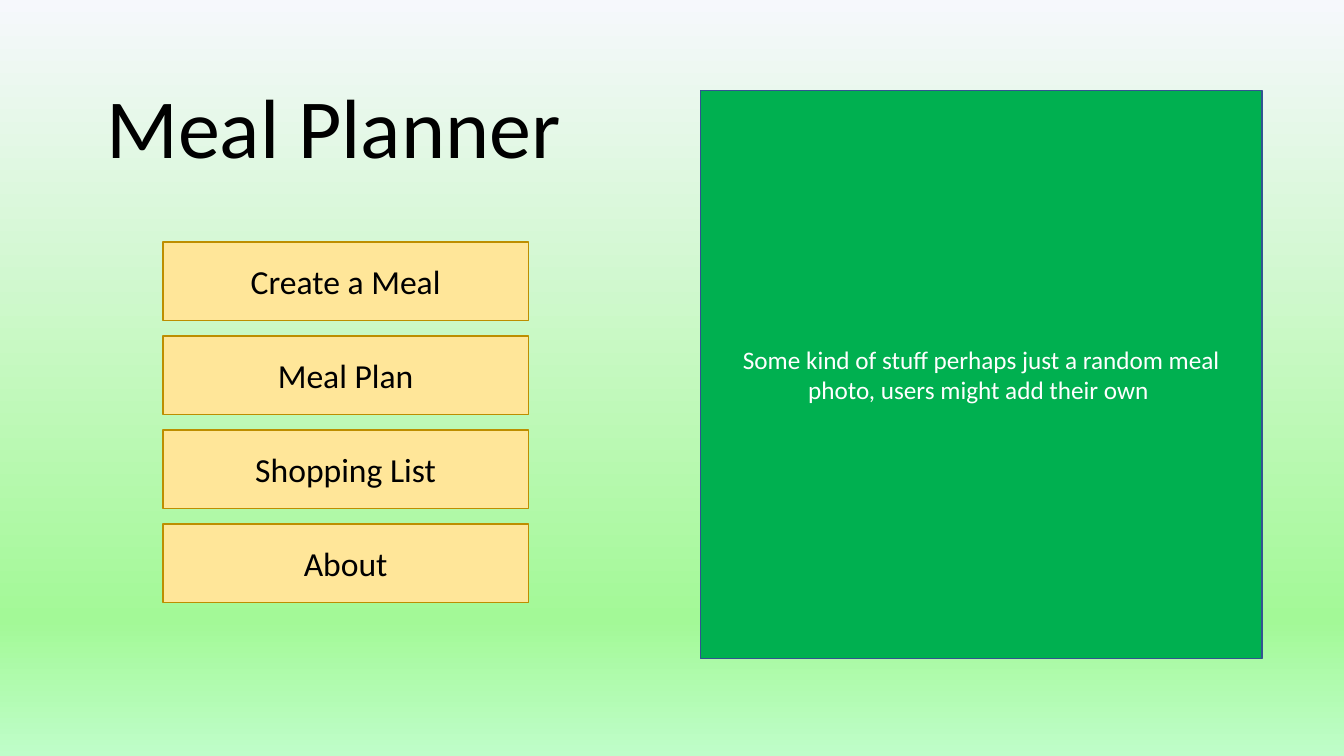
from copy import deepcopy
from dataclasses import dataclass

from pptx import Presentation
from pptx.dml.color import RGBColor
from pptx.enum.shapes import MSO_SHAPE
from pptx.enum.text import MSO_ANCHOR, PP_ALIGN
from pptx.util import Inches, Pt

RECTANGLE = MSO_SHAPE.RECTANGLE
CENTER = PP_ALIGN.CENTER
MIDDLE, BOTTOM = MSO_ANCHOR.MIDDLE, MSO_ANCHOR.BOTTOM
COLUMNS, ROWS = 160, 90


@dataclass(frozen=True)
class Theme:
    font: str = "Calibri"
    ink: str = "000000"
    light_ink: str = "FFFFFF"
    panel: str = "00B050"
    panel_line: str = "325491"
    button: str = "FFE699"
    button_line: str = "BD8E00"
    background: tuple = ((0, "F6F8FC"), (0.82, "A3F997"), (1, "BFFDC9"))
    title_size: int = 60
    button_size: int = 24
    panel_size: int = 18
    line_width: int = 1


class SlideBuilder:
    """Draws on one slide; boxes are (column, row, columns wide, rows high)."""

    def __init__(self, deck, theme):
        self.theme = theme
        self.column = deck.slide_width / COLUMNS
        self.row = deck.slide_height / ROWS
        self.slide = deck.slides.add_slide(deck.slide_layouts[6])

    def place(self, box):
        left, top, width, height = box
        return (round(left * self.column), round(top * self.row),
                round(width * self.column), round(height * self.row))

    def gradient_background(self):
        fill = self.slide.background.fill
        fill.gradient()
        fill.gradient_angle = 270
        # The default gradient has two stops; add the missing ones
        stop_list = self.slide.element.xpath(".//a:gsLst")[0]
        while len(stop_list) < len(self.theme.background):
            stop_list.append(deepcopy(stop_list[-1]))
        for stop, (position, color) in zip(fill.gradient_stops, self.theme.background):
            stop.position = position
            stop.color.rgb = RGBColor.from_string(color)

    def set_text(self, shape, text, size, color, anchor):
        frame = shape.text_frame
        frame.text = text
        frame.word_wrap = True
        frame.vertical_anchor = anchor
        paragraph = frame.paragraphs[0]
        paragraph.alignment = CENTER
        font = paragraph.runs[0].font
        font.name = self.theme.font
        font.size = Pt(size)
        font.color.rgb = RGBColor.from_string(color)
        return paragraph

    def title(self, text, box):
        heading = self.slide.shapes.add_textbox(*self.place(box))
        paragraph = self.set_text(heading, text, self.theme.title_size, self.theme.ink, BOTTOM)
        paragraph.line_spacing = 0.9

    def rectangle(self, text, box, fill, line, size, ink):
        panel = self.slide.shapes.add_shape(RECTANGLE, *self.place(box))
        panel.shadow.inherit = False
        panel.fill.solid()
        panel.fill.fore_color.rgb = RGBColor.from_string(fill)
        panel.line.color.rgb = RGBColor.from_string(line)
        panel.line.width = Pt(self.theme.line_width)
        self.set_text(panel, text, size, ink, MIDDLE)

    def photo_panel(self, text, box):
        theme = self.theme
        self.rectangle(text, box, theme.panel, theme.panel_line,
                       theme.panel_size, theme.light_ink)

    def menu(self, labels, box, pitch):
        theme = self.theme
        left, top, width, height = box
        for index, label in enumerate(labels):
            self.rectangle(label, (left, top + index * pitch, width, height),
                           theme.button, theme.button_line, theme.button_size, theme.ink)


def main():
    deck = Presentation()
    deck.slide_width, deck.slide_height = Inches(13.33), Inches(7.5)
    home = SlideBuilder(deck, Theme())
    home.gradient_background()

    # Heading and photo area
    home.title("Meal Planner", (10.3, 9.6, 58.8, 12))
    home.photo_panel(
        "Some kind of stuff perhaps just a random meal photo, users might add their own ",
        (83.4, 10.8, 66.85, 67.6))

    # Menu buttons
    home.menu(("Create a Meal", "Meal Plan", "Shopping List", "About"),
              (19.4, 28.8, 43.5, 9.36), pitch=11.2)

    deck.save("out.pptx")


if __name__ == "__main__":
    main()
